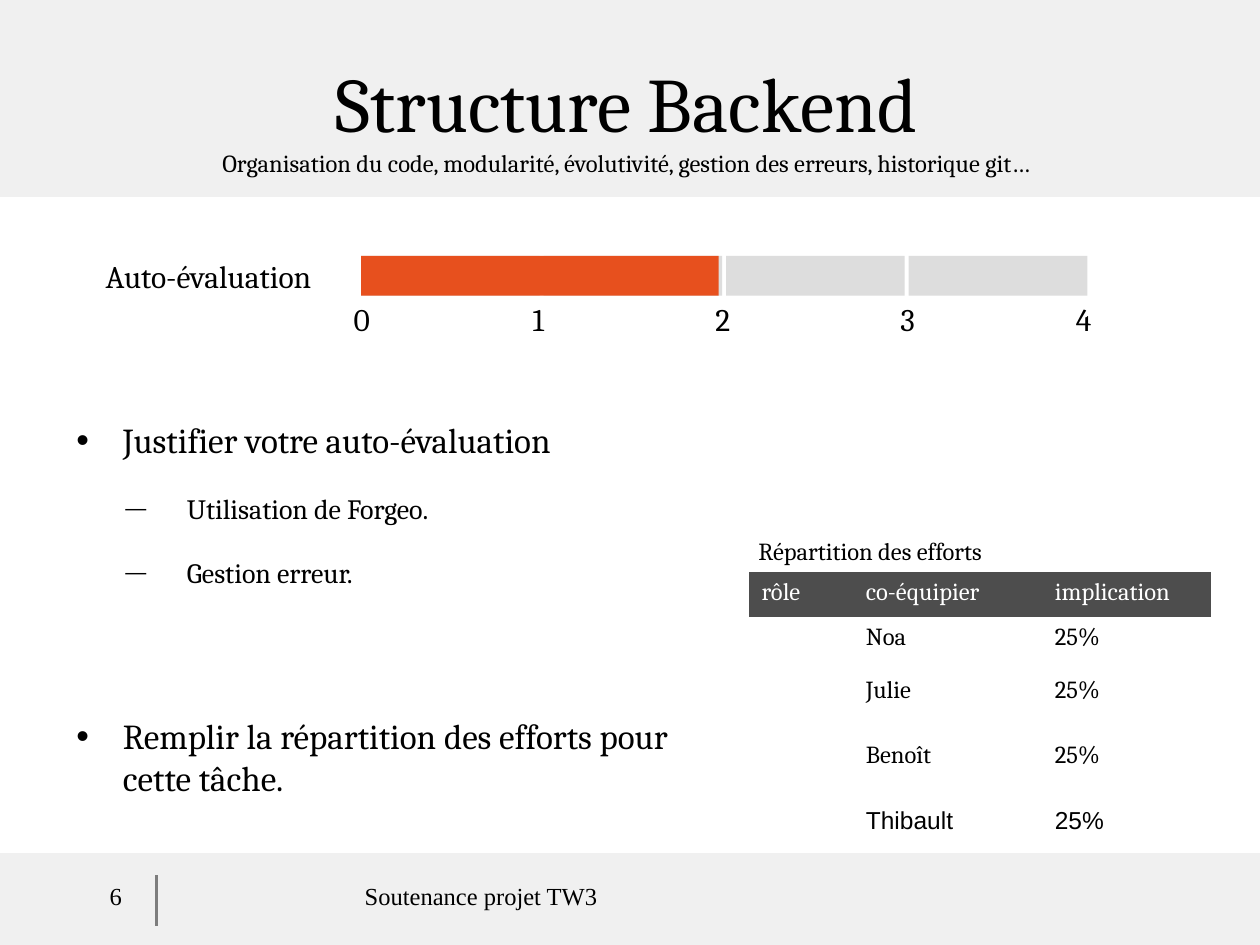
from dataclasses import dataclass

from lxml.etree import SubElement
from pptx import Presentation
from pptx.dml.color import RGBColor
from pptx.enum.shapes import MSO_CONNECTOR as CONN, MSO_SHAPE as SHAPE
from pptx.enum.text import MSO_ANCHOR as ANCHOR, PP_ALIGN as ALIGN
from pptx.oxml.ns import qn
from pptx.util import Cm, Pt


@dataclass(frozen=True)
class Theme:
    """Colours, fonts and type sizes of the deck."""
    band: str = "F0F0F0"
    rule: str = "7D7D7D"
    track: str = "DDDDDD"
    accent: str = "E7501E"
    header: str = "4D4D4D"
    ink: str = "000000"
    paper: str = "FFFFFF"
    serif: str = "Cambria"
    sans: str = "Arial"
    footer: str = "Times New Roman"
    title: int = 44
    point: int = 20
    label: int = 18
    detail: int = 16
    small: int = 14


@dataclass(frozen=True)
class Box:
    """A rectangle in centimetres."""
    x: float
    y: float
    w: float
    h: float

    def sub(self, dx, dy, w, h):
        """Return a box offset from this one."""
        return Box(self.x + dx, self.y + dy, w, h)

    def lengths(self):
        """Return left, top, width and height as lengths."""
        return [Cm(v) for v in (self.x, self.y, self.w, self.h)]


T = Theme()
NO_STYLE = "{2D5ABB26-0587-4C30-8999-92F81FD0307C}"
BULLETS = {
    0: dict(char="•", size="103000", left=0.97, hang=-0.94, font=T.point),
    1: dict(char="—", size="75000", left=2.26, hang=-1.24, font=T.detail),
}


def assign(obj, **values):
    """Set each given attribute on an object."""
    for name, value in values.items():
        setattr(obj, name, value)


def add_run(p, text, size, font=T.serif, color=T.ink):
    """Append a formatted run to a paragraph."""
    r = p.add_run()
    r.text = text
    assign(r.font, size=Pt(size), name=font)
    r.font.color.rgb = RGBColor.from_string(color)


def add_frame(slide, box, **values):
    """Add a wrapping text box and return its text frame."""
    tf = slide.shapes.add_textbox(*box.lengths()).text_frame
    assign(tf, word_wrap=True, **values)
    return tf


def add_label(slide, box, text, size, font=T.serif, align=ALIGN.LEFT):
    """Add a one-paragraph text box."""
    p = add_frame(slide, box).paragraphs[0]
    p.alignment = align
    add_run(p, text, size, font)


def add_rect(slide, box, color, outline=False):
    """Add a flat rectangle, optionally outlined in its own colour."""
    sp = slide.shapes.add_shape(SHAPE.RECTANGLE, *box.lengths())
    sp.shadow.inherit = False
    sp.fill.solid()
    sp.fill.fore_color.rgb = RGBColor.from_string(color)
    if outline:
        sp.line.color.rgb = RGBColor.from_string(color)
        sp.line.width = Pt(2)
    else:
        sp.line.fill.background()


def add_header(slide, box, title, subtitle):
    """Draw the title band with its two lines of text."""
    add_rect(slide, box, T.band, outline=True)
    tf = add_frame(slide, box.sub(1.14, 0.76, 22.99, 3.18), vertical_anchor=ANCHOR.MIDDLE)
    p = tf.paragraphs[0]
    assign(p, alignment=ALIGN.CENTER, space_before=Pt(10.6))
    add_run(p, title, T.title)
    p.add_line_break()
    add_run(p, subtitle, T.small)


def add_footer(slide, box, number, text):
    """Draw the footer band with page number, divider and text."""
    add_rect(slide, box, T.band, outline=True)
    x, top = Cm(box.x + 3.15), box.y + 0.41
    ln = slide.shapes.add_connector(CONN.STRAIGHT, x, Cm(top), x, Cm(top + 1.02))
    ln.line.color.rgb = RGBColor.from_string(T.rule)
    ln.line.width = Pt(1.5)
    SubElement(ln._element.spPr, qn("a:effectLst"))
    add_label(slide, box.sub(3.5, 0.41, 12.4, 1.02), text, T.small, T.footer, ALIGN.CENTER)
    add_label(slide, box.sub(0.5, 0.41, 2.21, 1.02), number, T.small, T.footer, ALIGN.RIGHT)


def add_score(slide, box, label, score):
    """Draw the labelled rating bar with its scale."""
    add_label(slide, box.sub(0, -0.11, 5.79, 1.02), label, T.label)
    left, step, height = 5.4, 3.68, 0.8
    for i in range(4):
        add_rect(slide, box.sub(left + i * step, 0, 3.6, height), T.track)
    for i, dx in enumerate((5, 8.61, 12.29, 16.02, 19.56)):
        add_label(slide, box.sub(dx, 0.76, 0.79, 1.02), str(i), T.label)
    add_rect(slide, box.sub(left, 0, score * step - 0.15, height), T.accent)


def add_points(slide, box, points):
    """Write bulleted points given as level, text, space before and after."""
    tf = add_frame(slide, box, vertical_anchor=ANCHOR.MIDDLE)
    for i, (level, text, before, after) in enumerate(points):
        style = BULLETS[level]
        p = tf.add_paragraph() if i else tf.paragraphs[0]
        assign(p, level=level, space_before=Pt(before), space_after=Pt(after))
        pPr = p._p.get_or_add_pPr()
        pPr.set("marL", str(Cm(style["left"])))
        pPr.set("indent", str(Cm(style["hang"])))
        color = SubElement(pPr, qn("a:buClr"))
        SubElement(color, qn("a:srgbClr"), val=T.ink)
        SubElement(pPr, qn("a:buSzPct"), val=style["size"])
        SubElement(pPr, qn("a:buFont"), typeface=T.sans)
        SubElement(pPr, qn("a:buChar"), char=style["char"])
        add_run(p, text, style["font"])


def add_efforts(slide, box, caption, rows):
    """Draw the captioned table of team efforts."""
    add_label(slide, box.sub(-0.06, -0.85, 6.5, 0.84), caption, T.small)
    table = slide.shapes.add_table(len(rows), len(rows[0]), *box.lengths()).table
    assign(table, first_row=False, horz_banding=False)
    table._tbl.tblPr.find(qn("a:tableStyleId")).text = NO_STYLE
    for col, width in zip(table.columns, (2.1, 3.81, 3.4)):
        col.width = Cm(width)
    for row, height in zip(table.rows, (0.91, 1.06, 1.32, 1.32, 1.32)):
        row.height = Cm(height)
    for i, row in enumerate(rows):
        font = T.sans if i == len(rows) - 1 else T.serif
        for j, text in enumerate(row):
            cell = table.cell(i, j)
            if i:
                cell.fill.background()
            else:
                cell.fill.solid()
                cell.fill.fore_color.rgb = RGBColor.from_string(T.header)
            if text:
                add_run(cell.text_frame.paragraphs[0], text, T.small, font, T.ink if i else T.paper)


def main():
    """Build and save the slide."""
    prs = Presentation()
    assign(prs, slide_width=Cm(25.4), slide_height=Cm(19.05))
    slide = prs.slides.add_slide(prs.slide_layouts[6])
    add_footer(slide, Box(0, 17.23, 25.4, 1.82), "6", "Soutenance projet TW3")
    add_header(slide, Box(0, 0, 25.4, 3.94), "Structure Backend",
               "Organisation du code, modularité, évolutivité, gestion des erreurs, historique git…")
    add_score(slide, Box(1.88, 5.16, 20.04, 1.78), "Auto-évaluation", 2)
    add_points(slide, Box(1.26, 7.52, 13.44, 9.5), [
        (0, "Justifier votre auto-évaluation", 24, 14.2),
        (1, "Utilisation de Forgeo.", 3.2, 14.2),
        (1, "Gestion erreur.", 3.2, 11.3),
        (0, "Remplir la répartition des efforts pour cette tâche.", 60.6, 14.2),
    ])
    team = ("Noa", "Julie", "Benoît", "Thibault")
    add_efforts(slide, Box(15.1, 11.53, 9.31, 5.93), "Répartition des efforts",
                [("rôle", "co-équipier", "implication"), *(("", name, "25%") for name in team)])
    prs.save("out.pptx")


if __name__ == "__main__":
    main()
